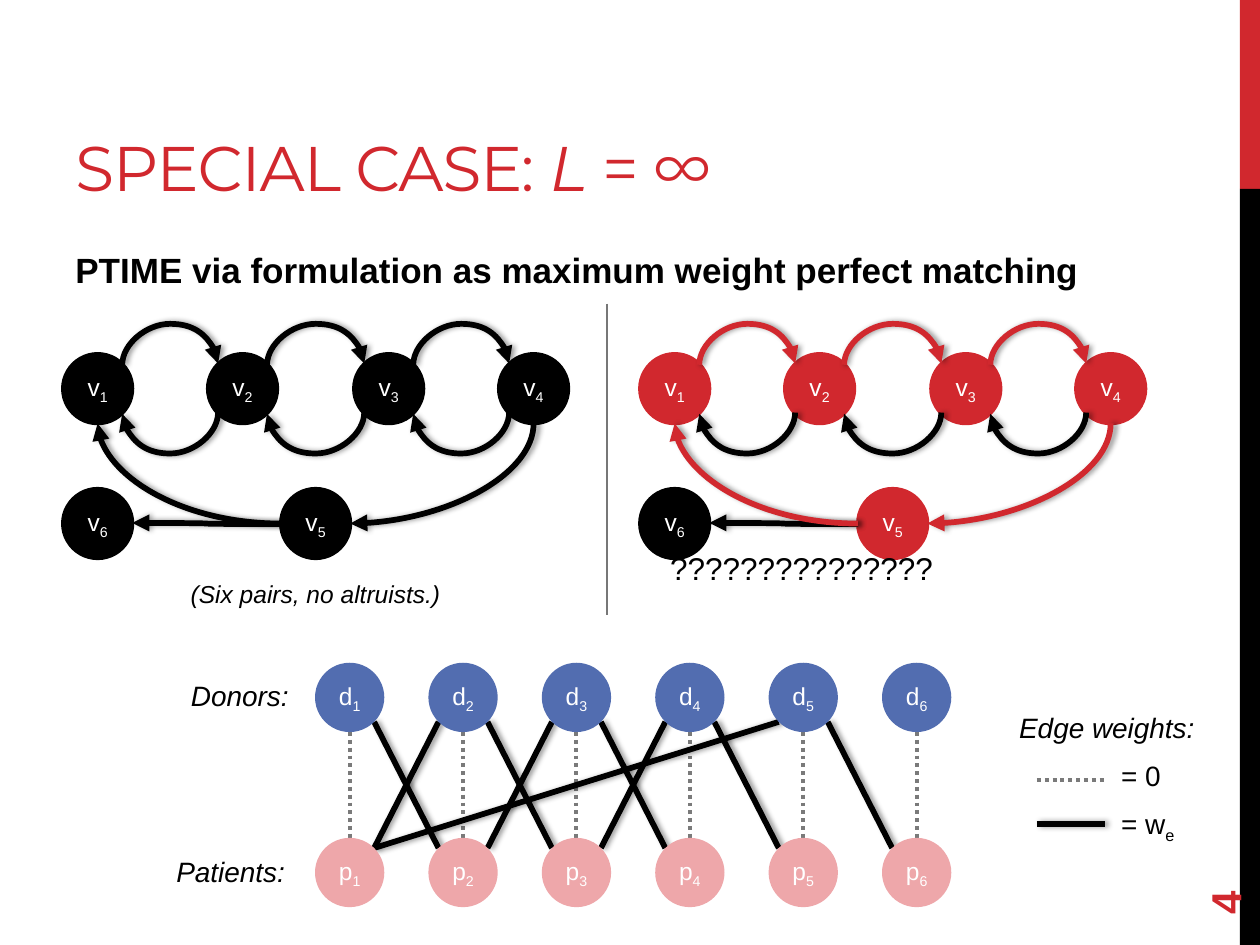
from math import cos, pi, sin

from lxml import etree
from pptx import Presentation
from pptx.dml.color import RGBColor
from pptx.enum.dml import MSO_LINE_DASH_STYLE as Dash
from pptx.enum.shapes import MSO_CONNECTOR as Conn, MSO_SHAPE as Shape
from pptx.enum.text import MSO_ANCHOR as Anchor, PP_ALIGN as Align
from pptx.oxml import parse_xml
from pptx.oxml.ns import nsdecls, qn
from pptx.util import Inches, Pt

RED, BLACK, WHITE, GREY = "D1282E", "000000", "FFFFFF", "7A7A7A"
BLUE, PINK = "526DB0", "EEA7AA"
SIZE, R = 0.55, 0.275
TOP, TL, LEFT, BL, BOTTOM, BR, RIGHT, TR = range(8)

BARS = [(0, 1.5, RED), (1.5, 6, BLACK)]
LABELS = [
    ((0.5, 1.92, 8.33, 0.67), [("PTIME via formulation as maximum weight perfect matching", "b")], 20, Align.LEFT),
    ((0.5, 4.55, 4.01, 0.34), [("(Six pairs, no altruists.)", "i")], 14, Align.CENTER),
    ((5.22, 4.31, 2.31, 0.4), [("???????????????", "")], 18, Align.LEFT),
    ((0.93, 5.34, 1.46, 0.37), [("Donors:", "i")], 16, Align.RIGHT),
    ((0.9, 6.73, 1.46, 0.37), [("Patients:", "i")], 16, Align.RIGHT),
    ((7.86, 5.59, 1.85, 0.37), [("Edge weights:", "i")], 16, Align.CENTER),
    ((8.8, 5.97, 0.79, 0.37), [("= 0", "")], 16, Align.LEFT),
    ((8.8, 6.35, 0.79, 0.37), [("= w", ""), ("e", "s")], 16, Align.LEFT),
]
VERTICES = {1: (0.5, 2.81), 2: (1.65, 2.81), 3: (2.81, 2.81), 4: (3.96, 2.81),
            5: (2.23, 3.88), 6: (0.5, 3.88)}
ARCS = (
    [(i, TR, i + 1, TL, 3, 90, True, 33) for i in (1, 2, 3)]
    + [(i + 1, BL, i, BR, 3, 90, False, 33) for i in (1, 2, 3)]
    + [(4, BOTTOM, 5, RIGHT, 2, 90, False, None),
       (5, LEFT, 6, RIGHT, 3, 180, False, 0.5),
       (5, LEFT, 1, BOTTOM, 2, 180, False, None)]
)
CYCLE = {(1, 2), (2, 3), (3, 4), (4, 5), (5, 1)}
GRAPHS = [(0, set()), (4.58, CYCLE)]
MATCHES = [(1, 2), (2, 1), (2, 3), (3, 2), (3, 4), (4, 3), (4, 5), (5, 1), (5, 6)]
DONOR_Y, PATIENT_Y, PAIR_X, PAIR_STEP = 5.26, 6.65, 2.5, 0.9


def rgb(value):
    return RGBColor.from_string(value)


def write(shape, runs, size, color, align, font="Arial"):
    tf = shape.text_frame
    tf.word_wrap = True
    p = tf.paragraphs[0]
    p.alignment = align
    for text, style in runs:
        r = p.add_run()
        r.text = text
        r.font.name, r.font.size = font, Pt(size)
        r.font.bold, r.font.italic = "b" in style, "i" in style
        r.font.color.rgb = rgb(color)
        if "s" in style:
            r.font._element.set("baseline", "-25000")
    return tf


def label(s, box, runs, size, align, color=BLACK, font="Arial"):
    sp = s.shapes.add_textbox(*map(Inches, box))
    write(sp, runs, size, color, align, font)
    return sp


def block(s, kind, box, fill):
    sp = s.shapes.add_shape(kind, *map(Inches, box))
    sp.shadow.inherit = False
    sp.fill.solid()
    sp.fill.fore_color.rgb = rgb(fill)
    sp.line.fill.background()
    return sp


def node(s, at, letter, number, fill, outline=False):
    sp = block(s, Shape.OVAL, (*at, SIZE, SIZE), fill)
    if outline:
        sp.line.color.rgb = rgb(fill)
        sp.line.width = Pt(2.25)
    tf = write(sp, [(letter, ""), (str(number), "s")], 14, WHITE, Align.CENTER)
    tf.margin_left = tf.margin_right = 0
    tf.vertical_anchor = Anchor.MIDDLE
    return sp


def site(at, index):
    """Return the point of a circle's connection site, counted anticlockwise from the top."""
    angle = -pi / 2 - index * pi / 4
    return at[0] + R + R * cos(angle), at[1] + R + R * sin(angle)


def edge(s, start, end, color, width=3.25, kind=Conn.STRAIGHT, shadow=True, dash=None):
    c = s.shapes.add_connector(kind, *map(Inches, (*start, *end)))
    c.line.color.rgb = rgb(color)
    c.line.width = Pt(width)
    if dash:
        c.line.dash_style = dash
    glow = ('<a:outerShdw blurRad="40000" dist="23000" dir="0" rotWithShape="0">'
            '<a:srgbClr val="000000"><a:alpha val="40000"/></a:srgbClr></a:outerShdw>') if shadow else ""
    c._element.spPr.append(parse_xml(f'<a:effectLst {nsdecls("a")}>{glow}</a:effectLst>'))
    return c


def arc(s, nodes, places, spec, color):
    a, a_site, b, b_site, bends, turn, flip, bend = spec
    (x1, y1), (x2, y2) = site(places[a], a_site), site(places[b], b_site)
    w, h = max(abs(x2 - x1), 0.01), max(abs(y2 - y1), 0.01)
    if turn == 90:
        w, h = h, w
    c = edge(s, (x1, y1), (x2, y2), color, kind=Conn.CURVE)
    c.left, c.top = Inches((x1 + x2 - w) / 2), Inches((y1 + y2 - h) / 2)
    c.width, c.height = Inches(w), Inches(h)
    xfrm = c._element.spPr.find(qn("a:xfrm"))
    xfrm.set("rot", str(turn * 60000))
    for name in ("flipH", "flipV"):
        xfrm.set(name, str(int(flip)))
    geom = c._element.spPr.find(qn("a:prstGeom"))
    geom.set("prst", f"curvedConnector{bends}")
    if bend:
        etree.SubElement(geom.find(qn("a:avLst")), qn("a:gd"), name="adj1", fmla=f"val {int(bend * 100000)}")
    etree.SubElement(c.line._get_or_add_ln(), qn("a:tailEnd"), type="triangle")
    glue = c._element.nvCxnSpPr.cNvCxnSpPr
    for tag, key, index in (("a:stCxn", a, a_site), ("a:endCxn", b, b_site)):
        etree.SubElement(glue, qn(tag), id=str(nodes[key].shape_id), idx=str(index))


def graph(s, dx, cycle):
    places = {i: (x + dx, y) for i, (x, y) in VERTICES.items()}
    members = {i for pair in cycle for i in pair}
    nodes = {i: node(s, at, "v", i, RED if i in members else BLACK, True) for i, at in places.items()}
    for spec in ARCS:
        arc(s, nodes, places, spec, RED if (spec[0], spec[2]) in cycle else BLACK)


def matching(s):
    donors, patients = ({i: (PAIR_X + PAIR_STEP * (i - 1), y) for i in range(1, 7)} for y in (DONOR_Y, PATIENT_Y))
    for i in donors:
        edge(s, site(donors[i], BOTTOM), site(patients[i], TOP), GREY, 2.25, shadow=False, dash=Dash.ROUND_DOT)
    for d, p in MATCHES:
        ends = (BR, TL) if p > d else (BL, TR)
        edge(s, site(donors[d], ends[0]), site(patients[p], ends[1]), BLACK)
    for letter, places, fill in (("d", donors, BLUE), ("p", patients, PINK)):
        for i, at in places.items():
            node(s, at, letter, i, fill)


def main():
    prs = Presentation()
    prs.slide_width, prs.slide_height = Inches(10), Inches(7.5)
    s = prs.slides.add_slide(prs.slide_layouts[6])
    for y, h, fill in BARS:
        block(s, Shape.RECTANGLE, (9.84, y, 0.16, h), fill)
    title = label(s, (0.5, 0.17, 6.33, 1.5), [("SPECIAL CASE: ", ""), ("L ", "i"), ("= ∞", "")],
                  36, Align.LEFT, RED, "Montserrat")
    title.text_frame.vertical_anchor = Anchor.BOTTOM
    for r in title.text_frame.paragraphs[0].runs:
        r.font._element.set("spc", "-60")
    number = label(s, (9, 6.44, 1.44, 0.4), [("4", "b")], 24, Align.LEFT, RED)
    number.rotation = 270
    number.text_frame.vertical_anchor = Anchor.MIDDLE
    for dx, cycle in GRAPHS:
        graph(s, dx, cycle)
    matching(s)
    for box, runs, size, align in LABELS:
        label(s, box, runs, size, align)
    edge(s, (8.23, 6.19), (8.77, 6.19), GREY, 2.25, shadow=False, dash=Dash.ROUND_DOT)
    edge(s, (8.23, 6.54), (8.77, 6.54), BLACK)
    edge(s, (4.82, 2.41), (4.82, 4.88), "777777", 1, shadow=False)
    prs.save("out.pptx")


if __name__ == "__main__":
    main()
